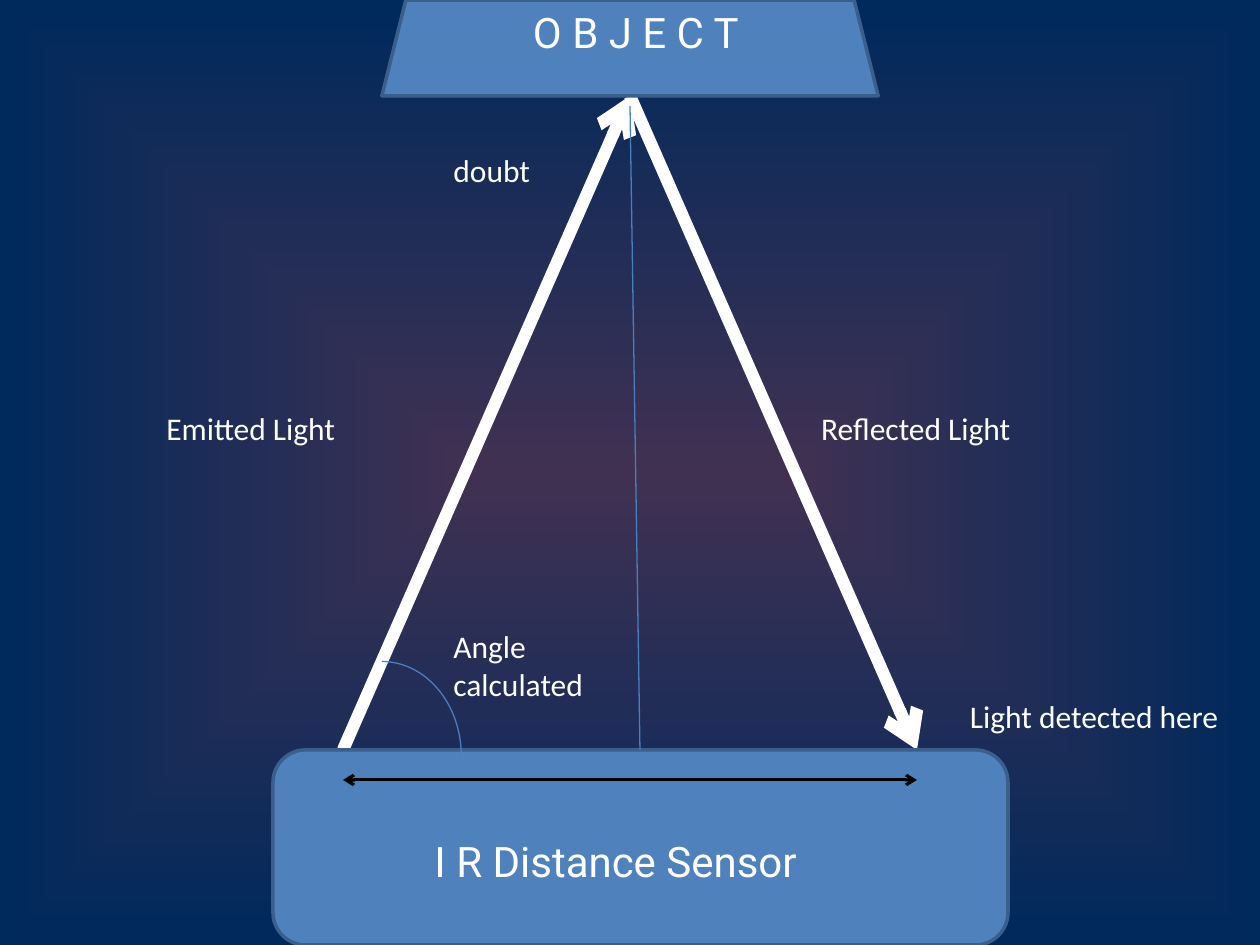
import pptx
import pptx.dml.color
import pptx.enum.shapes
import pptx.enum.text
import pptx.oxml.ns
import pptx.util
from lxml import etree

Pt = pptx.util.Pt
RGBColor = pptx.dml.color.RGBColor
SHAPE = pptx.enum.shapes.MSO_SHAPE
qn = pptx.oxml.ns.qn

WHITE = RGBColor(0xFF, 0xFF, 0xFF)
BLACK = RGBColor(0x00, 0x00, 0x00)
BLUE = RGBColor(0x4F, 0x81, 0xBD)
EDGE = RGBColor(0x3A, 0x5F, 0x8C)
GUIDE = RGBColor(0x4B, 0x7E, 0xBC)
PLUM = RGBColor(0x40, 0x31, 0x52)
NAVY = RGBColor(0x00, 0x29, 0x5C)


class Diagram:
    label_font, label_size = "Calibri", 18
    title_font, title_size = "Roboto", 24

    def __init__(self, slide):
        self.slide = slide

    def background(self, centre, rim):
        fill = self.slide.background.fill
        fill.gradient()
        for stop, color in zip(fill.gradient_stops, (centre, rim)):
            stop.color.rgb = color
        gradient = self.slide._element.find(".//" + qn("a:gradFill"))
        gradient.remove(gradient.find(qn("a:lin")))
        spread = etree.SubElement(gradient, qn("a:path"))
        spread.set("path", "shape")
        focus = etree.SubElement(spread, qn("a:fillToRect"))
        for side in "ltrb":
            focus.set(side, "50000")

    def line(self, start, end, color, width, arrows=()):
        connector = self.slide.shapes.add_connector(
            pptx.enum.shapes.MSO_CONNECTOR.STRAIGHT,
            *(Pt(value) for value in (*start, *end)))
        connector.line.color.rgb = color
        connector.line.width = Pt(width)
        outline = connector.line._get_or_add_ln()
        for arrow in arrows:
            etree.SubElement(outline, qn(f"a:{arrow}")).set("type", "arrow")
        etree.SubElement(connector._element.spPr, qn("a:effectLst"))

    def shape(self, kind, box, edge, width, fill=None):
        shape = self.slide.shapes.add_shape(kind, *map(Pt, box))
        shape.shadow.inherit = False
        if fill is None:
            shape.fill.background()
        else:
            shape.fill.solid()
            shape.fill.fore_color.rgb = fill
        shape.line.color.rgb = edge
        shape.line.width = Pt(width)

    def text(self, words, box, font, size, wrap=True):
        frame = self.slide.shapes.add_textbox(*map(Pt, box)).text_frame
        frame.text = words
        frame.word_wrap = wrap
        frame.auto_size = pptx.enum.text.MSO_AUTO_SIZE.SHAPE_TO_FIT_TEXT
        run = frame.paragraphs[0].runs[0]
        run.font.name = font
        run.font.size = Pt(size)
        run.font.color.rgb = WHITE

    def label(self, words, box, wrap=True):
        self.text(words, box, self.label_font, self.label_size, wrap)

    def title(self, words, box):
        self.text(words, box, self.title_font, self.title_size)


def main():
    deck = pptx.Presentation()
    deck.slide_width, deck.slide_height = Pt(720), Pt(540)
    diagram = Diagram(deck.slides.add_slide(deck.slide_layouts[6]))
    diagram.background(PLUM, NAVY)

    object_bottom, sensor_top, baseline_y = 54.8, 428.5, 445.7
    emitter_x, target_x, detector_x = 196, 360, 524
    emitter = (emitter_x, sensor_top)
    target = (target_x, object_bottom)
    detector = (detector_x, sensor_top)

    diagram.line(emitter, target, WHITE, 7, ["tailEnd"])
    diagram.line(target, detector, WHITE, 7, ["tailEnd"])
    diagram.shape(SHAPE.ROUNDED_RECTANGLE,
                  (156, sensor_top, 420, 540 - sensor_top), EDGE, 2, BLUE)
    diagram.line((target_x, 60.5), (365.7, sensor_top), GUIDE, 0.75)
    diagram.shape(SHAPE.ARC, (172.8, 378, 90.8, 108), GUIDE, 0.75)
    diagram.line((emitter_x, baseline_y), (detector_x, baseline_y),
                 BLACK, 1.75, ["headEnd", "tailEnd"])

    diagram.label("Emitted Light", (88, 230.4, 164, 29))
    diagram.label("Reflected Light", (462.2, 230.4, 142, 29))
    diagram.label("Angle calculated", (252, 355, 96.5, 51))
    diagram.label("Light detected here", (547.2, 394.5, 158.4, 72.7))
    diagram.shape(SHAPE.TRAPEZOID, (218.2, 0, 283.6, object_bottom), EDGE, 2, BLUE)
    diagram.title("O B J E C T", (297.5, 0, 153.4, 36))
    diagram.title("I R Distance Sensor", (241.2, 473.8, 300.2, 36))
    diagram.label("doubt", (252, 82.8, 59, 29), wrap=False)

    deck.save("out.pptx")


if __name__ == "__main__":
    main()
